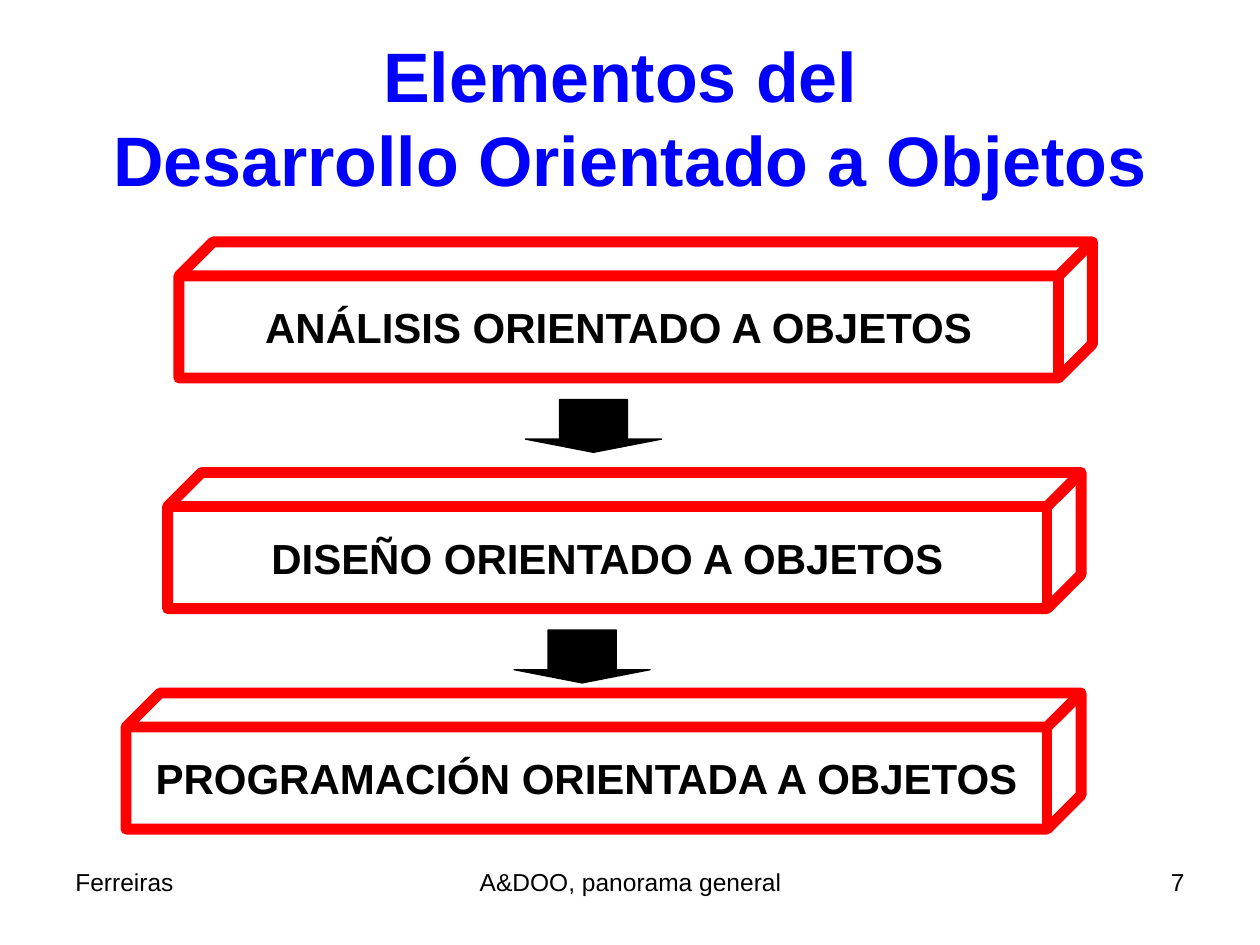
from typing import NamedTuple

from pptx import Presentation
from pptx.dml.color import RGBColor
from pptx.enum.shapes import MSO_SHAPE
from pptx.enum.text import MSO_ANCHOR, MSO_AUTO_SIZE, PP_ALIGN
from pptx.util import Inches, Pt

CUBE, DOWN_ARROW = MSO_SHAPE.CUBE, MSO_SHAPE.DOWN_ARROW
LEFT, CENTER, RIGHT = PP_ALIGN.LEFT, PP_ALIGN.CENTER, PP_ALIGN.RIGHT
MIDDLE, TOP = MSO_ANCHOR.MIDDLE, MSO_ANCHOR.TOP
NO_AUTOFIT = MSO_AUTO_SIZE.NONE

FONT = "Arial"
BLUE, RED, BLACK = "0000FF", "FF0000", "000000"
STAGE_HEIGHT = 1.08
ARROW_WIDTH, ARROW_HEIGHT = 1.08, 0.42
FOOTER_TOP, FOOTER_HEIGHT = 6.83, 0.52


class Stage(NamedTuple):
    label: str
    left: float
    top: float
    width: float


class Arrow(NamedTuple):
    left: float
    top: float


class FooterItem(NamedTuple):
    text: str
    left: float
    width: float
    align: PP_ALIGN


STAGES = [
    Stage("ANÁLISIS ORIENTADO A OBJETOS", 1.42, 1.92, 7.25),
    Stage("DISEÑO ORIENTADO A OBJETOS", 1.33, 3.75, 7.25),
    Stage("PROGRAMACIÓN ORIENTADA A OBJETOS", 1, 5.5, 7.58),
]
ARROWS = [Arrow(4.17, 3.17), Arrow(4.08, 5)]
FOOTER = [
    FooterItem("Ferreiras", 0.5, 2.33, LEFT),
    FooterItem("A&DOO, panorama general", 3.42, 3.17, CENTER),
    FooterItem("7", 7.17, 2.33, RIGHT),
]


def color(value: str) -> RGBColor:
    return RGBColor.from_string(value)


def write(frame, text: str, size: float, font_color: str, bold: bool,
          align: PP_ALIGN, anchor: MSO_ANCHOR, wrap: bool = True) -> None:
    frame.auto_size = NO_AUTOFIT
    frame.word_wrap = wrap
    frame.vertical_anchor = anchor
    paragraph = frame.paragraphs[0]
    paragraph.text = text
    paragraph.alignment = align
    for run in paragraph.runs:
        run.font.name = FONT
        run.font.size = Pt(size)
        run.font.bold = bold
        run.font.color.rgb = color(font_color)


def draw_title(slide, text: str) -> None:
    title = slide.shapes.title
    title.left, title.top = Inches(0.5), Inches(0.3)
    title.width, title.height = Inches(9), Inches(1.25)
    write(title.text_frame, text, 40, BLUE, True, CENTER, MIDDLE)


def draw_stage(slide, stage: Stage) -> None:
    cube = slide.shapes.add_shape(
        CUBE, Inches(stage.left), Inches(stage.top),
        Inches(stage.width), Inches(STAGE_HEIGHT))
    cube.shadow.inherit = False
    cube.fill.background()
    cube.line.color.rgb = color(RED)
    cube.line.width = Pt(6.25)
    write(cube.text_frame, stage.label, 24, BLACK, True, CENTER, MIDDLE, wrap=False)


def draw_arrow(slide, arrow: Arrow) -> None:
    block = slide.shapes.add_shape(
        DOWN_ARROW, Inches(arrow.left), Inches(arrow.top),
        Inches(ARROW_WIDTH), Inches(ARROW_HEIGHT))
    block.adjustments[0] = 0.5
    block.adjustments[1] = 0.25
    block.shadow.inherit = False
    block.fill.solid()
    block.fill.fore_color.rgb = color(BLACK)
    block.line.color.rgb = color(BLACK)
    block.line.width = Pt(0.75)


def draw_footer_item(slide, item: FooterItem) -> None:
    box = slide.shapes.add_textbox(
        Inches(item.left), Inches(FOOTER_TOP),
        Inches(item.width), Inches(FOOTER_HEIGHT))
    write(box.text_frame, item.text, 14, BLACK, False, item.align, TOP)


def main() -> None:
    presentation = Presentation()
    presentation.slide_width = Inches(10)
    presentation.slide_height = Inches(7.5)
    title_only = presentation.slide_layouts[5]
    slide = presentation.slides.add_slide(title_only)

    draw_title(slide, "Elementos del \vDesarrollo Orientado a Objetos")

    # Development stages, top to bottom, and the arrows between them
    for stage in STAGES:
        draw_stage(slide, stage)
    for arrow in ARROWS:
        draw_arrow(slide, arrow)

    # Footer: author, subject and page number
    for item in FOOTER:
        draw_footer_item(slide, item)

    presentation.save("out.pptx")


if __name__ == "__main__":
    main()
